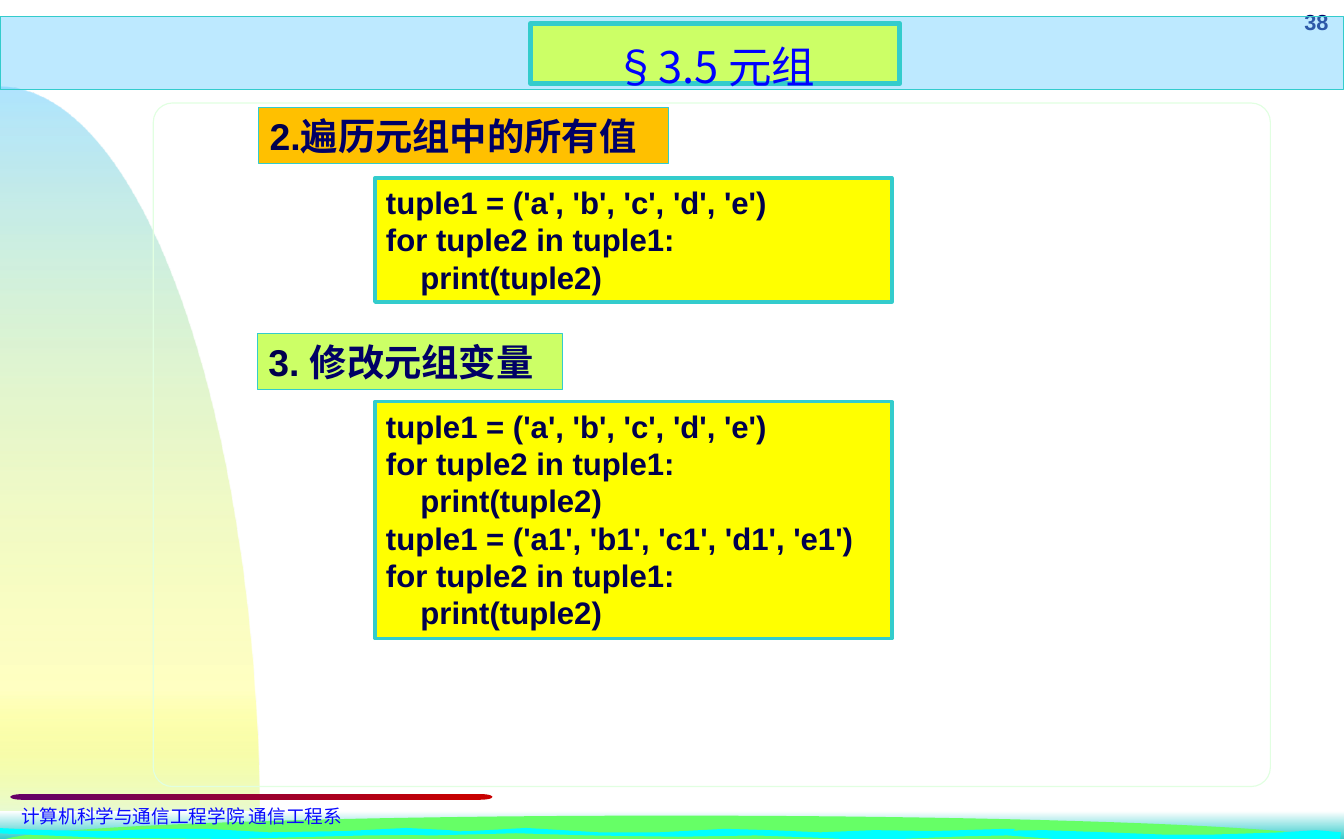
import math

import pptx
import pptx.dml.color
import pptx.enum.shapes
import pptx.enum.text
import pptx.oxml.ns
import pptx.util
from lxml import etree

Cm = pptx.util.Cm
RGBColor = pptx.dml.color.RGBColor
SHAPE = pptx.enum.shapes.MSO_SHAPE
ALIGN = pptx.enum.text.PP_ALIGN
ANCHOR = pptx.enum.text.MSO_ANCHOR

SKY = RGBColor(0x66, 0xCC, 0xFF)
TEAL = RGBColor(0x33, 0xCC, 0xCC)
AQUA = RGBColor(0x00, 0xFF, 0xFF)
ICE = RGBColor(0xDF, 0xF9, 0xF9)
WHITE = RGBColor(0xFF, 0xFF, 0xFF)
GREEN = RGBColor(0x66, 0xFF, 0x66)
LIME = RGBColor(0xCC, 0xFF, 0x66)
PALE_GREEN = RGBColor(0xE1, 0xFF, 0xE1)
YELLOW = RGBColor(0xFF, 0xFF, 0x00)
ORANGE = RGBColor(0xFF, 0xC0, 0x00)
PURPLE = RGBColor(0x66, 0x00, 0x66)
RED = RGBColor(0xC8, 0x00, 0x00)
INK = RGBColor(0x00, 0x00, 0x4D)
NAVY = RGBColor(0x00, 0x00, 0x66)
BLUE = RGBColor(0x00, 0x00, 0xFF)
FOOTER_BLUE = RGBColor(0x0A, 0x0A, 0xFF)

LATIN, CJK = "Arial", "Noto Sans CJK SC"
WIDTH, HEIGHT = 30.5, 19.05

# Outlines of the water at the foot of the slide, in cm
WAVES = [
    [(22.2, 18.87), (23.7, 18.85), (25.1, 18.9), (26.39, 18.95), (27.53, 18.95),
     (29.11, 18.9), (29.87, 18.85), (30.43, 18.9), (30.4, 19.13), (29.95, 19.08),
     (28.75, 19.08), (27.61, 19.05), (25.93, 19.1), (23.93, 19.05), (22.86, 18.97),
     (21.31, 19)],
    [(23.04, 18.82), (22.94, 18.92), (21.59, 19), (19.76, 19.08), (18.52, 19.02),
     (17.15, 18.97), (15.39, 19), (13.39, 18.97), (11.71, 18.92), (9.78, 18.97),
     (9.12, 18.95), (9.47, 18.9), (10.69, 18.87), (11.94, 18.8), (13.59, 18.9),
     (14.96, 18.9), (16.46, 18.82), (17.48, 18.85), (18.62, 18.9), (19.84, 18.85),
     (21.18, 18.87), (22.81, 18.82)],
    [(9.93, 18.95), (8.28, 18.97), (5.26, 19.05), (2.24, 19.02), (-0.08, 18.92),
     (-0.08, 18.8), (1.02, 18.85), (2.41, 18.87), (3.51, 18.82), (4.67, 18.82),
     (6.1, 18.9), (7.85, 18.87), (9.22, 18.8), (10.19, 18.85), (10.69, 18.92)],
]

PRINT_LOOP = ["for tuple2 in tuple1:", "    print(tuple2)"]
TRAVERSE = ["tuple1 = ('a', 'b', 'c', 'd', 'e')", *PRINT_LOOP]
REASSIGN = [*TRAVERSE, "tuple1 = ('a1', 'b1', 'c1', 'd1', 'e1')", *PRINT_LOOP]


def add_xml(parent, tag, **attributes):
    return etree.SubElement(parent, pptx.oxml.ns.qn(tag), **attributes)


def arc(cx, cy, rx, ry, start, end, steps=48):
    """Points on an ellipse from start to end degrees, clockwise from the right."""
    angles = [math.radians(start + (end - start) * i / steps) for i in range(steps + 1)]
    return [(cx + rx * math.cos(a), cy + ry * math.sin(a)) for a in angles]


def write(frame, lines, size=20, color=INK, font=LATIN, bold=False,
          align=ALIGN.LEFT, anchor=ANCHOR.TOP, spacing=None):
    """Fill a frame; a line is a string or a list of (text, colour) runs."""
    frame.word_wrap = True
    frame.auto_size = pptx.enum.text.MSO_AUTO_SIZE.NONE
    frame.vertical_anchor = anchor
    for i, line in enumerate(lines):
        paragraph = frame.add_paragraph() if i else frame.paragraphs[0]
        paragraph.alignment = align
        paragraph.line_spacing = spacing
        for text, run_color in [(line, color)] if isinstance(line, str) else line:
            run = paragraph.add_run()
            run.text = text
            run.font.size = pptx.util.Pt(size)
            run.font.bold = bold
            run.font.color.rgb = run_color
            run.font.name = font
            add_xml(run.font._element, "a:ea", typeface=CJK)


class LessonSlide:
    def __init__(self, deck):
        self.slide = deck.slides.add_slide(deck.slide_layouts[5])
        self.shapes = self.slide.shapes

    def paint(self, shape, fill=None, alpha=None, line=None, weight=0.75):
        if fill is None:
            shape.fill.background()
        else:
            shape.fill.solid()
            shape.fill.fore_color.rgb = fill
        if alpha is not None:
            color = shape.fill._xPr.find(".//" + pptx.oxml.ns.qn("a:srgbClr"))
            add_xml(color, "a:alpha", val=str(alpha * 1000))
        if line is None:
            shape.line.fill.background()
        else:
            shape.line.color.rgb = line
            shape.line.width = pptx.util.Pt(weight)

    def gradient(self, shape, stops, angle):
        """Shade a shape; each stop is (percent, colour, opacity percent)."""
        shape.fill.gradient()
        grad = shape.fill._xPr.find(pptx.oxml.ns.qn("a:gradFill"))
        for child in list(grad):
            grad.remove(child)
        stop_list = add_xml(grad, "a:gsLst")
        for position, color, opacity in stops:
            stop = add_xml(stop_list, "a:gs", pos=str(position * 1000))
            shade = add_xml(stop, "a:srgbClr", val=str(color))
            add_xml(shade, "a:alpha", val=str(opacity * 1000))
        add_xml(grad, "a:lin", ang=str(angle * 60000), scaled="0")

    def box(self, place, kind=SHAPE.RECTANGLE, corner=None, **style):
        shape = self.shapes.add_shape(kind, *map(Cm, place))
        shape.shadow.inherit = False
        if corner is not None:
            shape.adjustments[0] = corner
        self.paint(shape, **style)
        return shape

    def outline(self, points, **style):
        start, *rest = [(Cm(x), Cm(y)) for x, y in points]
        builder = self.shapes.build_freeform(*start)
        builder.add_line_segments(rest, close=True)
        shape = builder.convert_to_shape()
        shape.shadow.inherit = False
        self.paint(shape, **style)
        return shape

    def label(self, place, text, **style):
        write(self.shapes.add_textbox(*map(Cm, place)).text_frame, [text], **style)

    def title(self, place, text):
        title = self.shapes.title
        title.left, title.top, title.width, title.height = map(Cm, place)
        geometry = add_xml(title._element.spPr, "a:prstGeom", prst="roundRect")
        add_xml(add_xml(geometry, "a:avLst"), "a:gd", name="adj", fmla="val 27700")
        self.paint(title, fill=LIME, line=TEAL, weight=3)
        write(title.text_frame, [text], size=28, color=BLUE, font=CJK,
              align=ALIGN.CENTER, anchor=ANCHOR.MIDDLE, spacing=1.5)
        self.shapes._spTree.append(title._element)

    def heading(self, place, number, text, fill):
        shape = self.box(place, fill=fill, line=TEAL)
        write(shape.text_frame, [[(number, INK), (text, NAVY)]], size=24, bold=True)

    def code(self, top, height, lines):
        shape = self.box((8.51, top, 11.73, height), fill=YELLOW, line=TEAL, weight=2.25)
        write(shape.text_frame, lines, bold=True)

    def backdrop(self):
        hill = self.outline([(0, HEIGHT), *arc(0, HEIGHT, 5.89, 17.07, -90, 0)])
        self.gradient(hill, [(0, SKY, 52), (80, YELLOW, 23), (100, ICE, 100)], 90)
        shore = self.box((0, 18.42, WIDTH, 0.63))
        self.gradient(shore, [(0, WHITE, 100), (100, TEAL, 100)], 90)
        self.outline(arc(15.24, 19.13, 15.24, 0.61, -180, 0), fill=GREEN)
        for wave in WAVES:
            self.outline(wave, fill=AQUA)
        self.label((28.47, 0.08, 1.93, 0.84), "38", size=14, color=NAVY, bold=True,
                   align=ALIGN.RIGHT)
        self.box((3.48, 2.34, 25.35, 15.52), SHAPE.ROUNDED_RECTANGLE, 0.028, line=PALE_GREEN)
        rule = self.box((0.74, 18.03, 9.88, 0.13), SHAPE.ROUNDED_RECTANGLE, 0)
        self.gradient(rule, [(0, PURPLE, 100), (100, RED, 100)], 0)
        for left, color, turn in [(0.23, PURPLE, 180), (10.62, RED, 0)]:
            cap = self.box((left, 18.03, 0.56, 0.13), SHAPE.FLOWCHART_DELAY, fill=color)
            cap.rotation = turn
        self.label((0.23, 18.16, 11.18, 0.76), "计算机科学与通信工程学院 通信工程系",
                   size=12, color=FOOTER_BLUE)
        self.box((0, 0.38, WIDTH, 1.65), fill=SKY, alpha=43, line=TEAL)


def main():
    deck = pptx.Presentation()
    deck.slide_width, deck.slide_height = Cm(WIDTH), Cm(HEIGHT)
    lesson = LessonSlide(deck)
    lesson.backdrop()
    lesson.title((12.04, 0.53, 8.38, 1.37), "§3.5 元组")
    lesson.heading((5.87, 2.44, 9.3, 1.27), "2.", "遍历元组中的所有值", ORANGE)
    lesson.code(4.04, 2.82, TRAVERSE)
    lesson.heading((5.84, 7.57, 6.93, 1.27), "3.", " 修改元组变量", LIME)
    lesson.code(9.12, 5.38, REASSIGN)
    deck.save("out.pptx")


if __name__ == "__main__":
    main()
